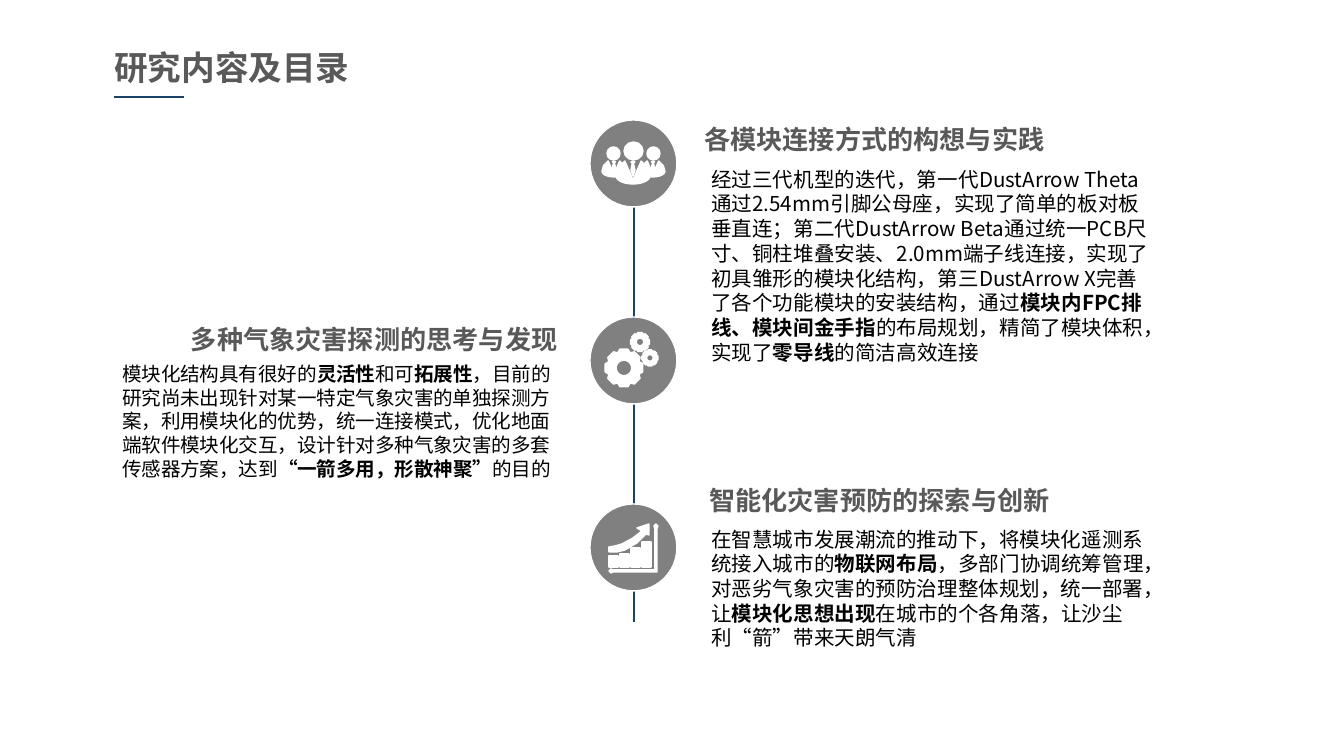
from dataclasses import dataclass
from math import cos, pi, sin

from lxml.etree import SubElement
from pptx import Presentation
from pptx.dml.color import RGBColor
from pptx.enum.lang import MSO_LANGUAGE_ID
from pptx.enum.shapes import MSO_CONNECTOR, MSO_SHAPE
from pptx.enum.text import MSO_ANCHOR, MSO_AUTO_SIZE, PP_ALIGN
from pptx.oxml.ns import qn
from pptx.util import Emu, Pt

SCALE = 914400 / 134.4  # EMU per px
FONT = "Noto Sans CJK SC"
COLORS = {"white": "FFFFFF", "disc": "808080", "head": "595959",
          "body": "000000", "line": "1B4367"}
Point = tuple[float, float]
Box = tuple[int, int, int, int]


@dataclass
class Label:
    """Text spans alternate between plain and bold, plain first."""
    box: Box
    spans: tuple[str, ...]
    size: float
    lead: float
    color: str = "body"
    align: PP_ALIGN = PP_ALIGN.LEFT


@dataclass
class Person:
    mid: int
    head: Box
    width: int
    height: int
    tie: float


@dataclass
class Gear:
    x: int
    y: int
    outer: float
    hole: float


TITLE = Label((66, 42, 332, 51), ("", "研究内容及目录"), 18, 21.6, "head", PP_ALIGN.CENTER)
LABELS = [
    Label((698, 160, 465, 212), (
        "经过三代机型的迭代，第一代DustArrow Theta通过2.54mm引脚公母座，实现了简单的板对板垂直连；"
        "第二代DustArrow Beta通过统一PCB尺寸、铜柱堆叠安装、2.0mm端子线连接，实现了初具雏形的模块化结构，"
        "第三DustArrow X完善了各个功能模块的安装结构，通过",
        "模块内FPC排线、模块间金手指", "的布局规划，精简了模块体积，实现了",
        "零导线", "的简洁高效连接"), 11, 13.25),
    Label((691, 120, 454, 42), ("", "各模块连接方式的构想与实践"), 14, 15, "head"),
    Label((698, 520, 461, 137), (
        "在智慧城市发展潮流的推动下，将模块化遥测系统接入城市的", "物联网布局",
        "，多部门协调统筹管理，对恶劣气象灾害的预防治理整体规划，统一部署，让",
        "模块化思想出现", "在城市的个各角落，让沙尘利“箭”带来天朗气清"), 11, 13.25),
    Label((696, 481, 540, 42), ("", "智能化灾害预防的探索与创新"), 14, 15, "head"),
    Label((109, 355, 470, 132), (
        "模块化结构具有很好的", "灵活性", "和可", "拓展性",
        "，目前的研究尚未出现针对某一特定气象灾害的单独探测方案，利用模块化的优势，统一连接模式，"
        "优化地面端软件模块化交互，设计针对多种气象灾害的多套传感器方案，达到",
        "“一箭多用，形散神聚”", "的目的"), 10.5, 12.7),
    Label((136, 320, 435, 42), ("", "多种气象灾害探测的思考与发现"), 14, 15, "head",
          PP_ALIGN.RIGHT),
]
DISC_TOPS = (120, 317, 504)
PEOPLE = [
    Person(614, (607, 147, 13, 13), 24, 16, 0.8),
    Person(653, (647, 147, 13, 13), 24, 16, 0.8),
    Person(633, (624, 142, 19, 18), 34, 23, 1),
]
GEARS = [Gear(624, 368, 19, 8), Gear(640, 342, 9.5, 4), Gear(650, 358, 8, 3.5)]
BARS = (11, 13, 19, 25)
ARROW = [(649, 535), (649, 524), (637, 528), (642, 531), (633, 538), (622, 544), (615, 546),
         (609, 547), (609, 552), (617, 552), (625, 550), (637, 543), (642, 538), (646, 534)]
AXES = [(655, 529), (654, 526), (656, 524), (658, 526), (657, 529), (657, 572), (613, 572),
        (611, 573), (609, 571), (611, 569), (613, 570), (655, 570)]


def px(num: float) -> Emu:
    return Emu(round(num * SCALE))


def rgb(name: str) -> RGBColor:
    return RGBColor.from_string(COLORS[name])


def paint(shape, fill: str = "white", width: float = 0.75) -> None:
    shape.shadow.inherit = False
    shape.fill.solid()
    shape.fill.fore_color.rgb = rgb(fill)
    shape.line.color.rgb = rgb("white")
    shape.line.width = Pt(width)


def write(shape, label: Label) -> None:
    frame = shape.text_frame
    frame.word_wrap = True
    frame.vertical_anchor = MSO_ANCHOR.TOP
    para = frame.paragraphs[0]
    para.alignment = label.align
    para.line_spacing = Pt(label.lead)
    para.space_before = Pt(0)
    for num, words in enumerate(label.spans):
        if not words:
            continue
        run = para.add_run()
        run.text = words
        font = run.font
        font.size = Pt(label.size)
        font.bold = num % 2 == 1
        font.color.rgb = rgb(label.color)
        font.name = FONT
        font.language_id = MSO_LANGUAGE_ID.SIMPLIFIED_CHINESE
        SubElement(run._r.get_or_add_rPr(), qn("a:ea"), typeface=FONT)


def rule(shapes, start: Point, end: Point) -> None:
    line = shapes.add_connector(MSO_CONNECTOR.STRAIGHT, *map(px, start + end))
    line.line.color.rgb = rgb("line")
    line.line.width = Pt(0.75)
    SubElement(line._element.spPr, qn("a:effectLst"))


def preset(shapes, kind: MSO_SHAPE, box: Box, fill: str = "white") -> None:
    paint(shapes.add_shape(kind, *map(px, box)), fill)


def outline(shapes, *loops: list[Point], width: float = 0.75) -> None:
    """Draw closed loops as one shape; inner loops become holes."""
    first, *rest = [[(px(x), px(y)) for x, y in loop] for loop in loops]
    build = shapes.build_freeform(*first[0])
    build.add_line_segments(first[1:])
    for loop in rest:
        build.move_to(*loop[0])
        build.add_line_segments(loop[1:])
    paint(build.convert_to_shape(), width=width)


def polar(x: float, y: float, size: float, turn: float) -> Point:
    return x + size * cos(turn), y + size * sin(turn)


def draw_gear(shapes, gear: Gear) -> None:
    teeth = [polar(gear.x, gear.y, gear.outer * reach, (45 * num + turn) * pi / 180)
             for num in range(8)
             for turn, reach in ((-20, 0.87), (-12, 1), (12, 1), (20, 0.87))]
    hole = [polar(gear.x, gear.y, gear.hole, num * pi / 12) for num in range(24)]
    outline(shapes, teeth, hole, width=1)


def draw_person(shapes, who: Person) -> None:
    top, half, high = 161, who.width / 2, who.height
    preset(shapes, MSO_SHAPE.OVAL, who.head)
    base = [(cos(num * pi / 12), 0.65 + 0.35 * sin(num * pi / 12)) for num in range(13)]
    chest = [(-0.87, 0.3), (-0.48, 0), (0, 0.82), (0.48, 0), (0.87, 0.3)]
    outline(shapes, [(who.mid + x * half, top + y * high) for x, y in base + chest])
    knot = [(0, 0), (2, 1), (0, 3), (-2, 1)]
    tie = [(0, 3), (1, 4), (2, 9), (0, 15), (-2, 9), (-1, 4)]
    for piece in (knot, tie):
        outline(shapes, [(who.mid + x * who.tie, top + y * who.tie) for x, y in piece])


def main() -> None:
    deck = Presentation()
    deck.slide_width, deck.slide_height = px(1344), px(756)
    slide = deck.slides.add_slide(deck.slide_layouts[5])
    shapes = slide.shapes

    title = shapes.title
    title.left, title.top, title.width, title.height = map(px, TITLE.box)
    write(title, TITLE)
    frame = title.text_frame
    frame.auto_size = MSO_AUTO_SIZE.NONE
    frame.margin_left = frame.margin_right = px(9)
    frame.margin_top = frame.margin_bottom = px(5)
    rule(shapes, (114, 97), (184, 97))

    rule(shapes, (634, 129), (634, 622))
    for top in DISC_TOPS:
        preset(shapes, MSO_SHAPE.OVAL, (590, top, 87, 87), "disc")

    crowd = shapes.add_group_shape().shapes
    for who in PEOPLE:
        draw_person(crowd, who)
    works = shapes.add_group_shape().shapes
    for gear in GEARS:
        draw_gear(works, gear)
    graph = shapes.add_group_shape().shapes
    for num, high in enumerate(BARS):
        preset(graph, MSO_SHAPE.RECTANGLE, (609 + 11 * num, 567 - high, 9, high))
    outline(graph, ARROW)
    outline(graph, AXES)

    for label in LABELS:
        box = shapes.add_textbox(*map(px, label.box))
        write(box, label)
        box.text_frame.auto_size = MSO_AUTO_SIZE.SHAPE_TO_FIT_TEXT

    deck.save("out.pptx")


if __name__ == "__main__":
    main()
